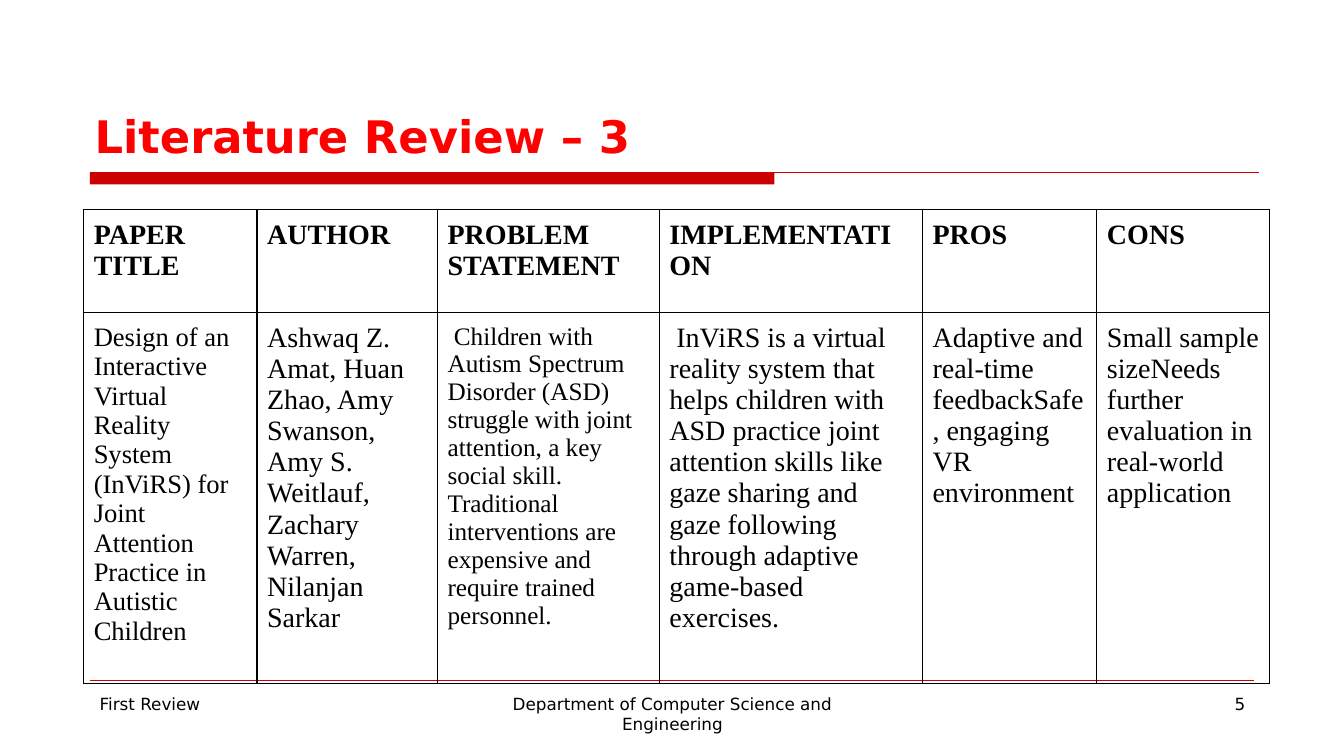
from pptx import Presentation, util as u
from pptx.dml import color
from pptx.enum import shapes, text
from pptx.oxml import parse_xml
from pptx.oxml.ns import nsdecls

HUES = {"ink": "000000", "title": "FF0000", "rule": "CC0000"}
HEADS = ["PAPER\vTITLE", "AUTHOR", "PROBLEM STATEMENT", "IMPLEMENTATION", "PROS", "CONS"]
BODY = [
    "Design of an Interactive Virtual Reality System (InViRS) for Joint Attention "
    "Practice in Autistic Children",
    "Ashwaq Z. Amat, Huan Zhao, Amy Swanson, Amy S. Weitlauf, Zachary Warren, Nilanjan Sarkar",
    " Children with Autism Spectrum Disorder (ASD) struggle with joint attention, a key "
    "social skill. Traditional interventions are expensive and require trained personnel.",
    " InViRS is a virtual reality system that helps children with ASD practice joint "
    "attention skills like gaze sharing and gaze following through adaptive game-based exercises.",
    "Adaptive and real-time feedbackSafe, engaging VR environment",
    "Small sample sizeNeeds further evaluation in real-world application",
]
SIZES = [19, 20, 18, 20, 20, 20]
WIDTHS = [1.72, 1.79, 2.2, 2.61, 1.73, 1.71]
HEIGHTS = [1.02, 3.48]


class Deck:
    """Holds the style and the current slide, and draws each kind of element."""

    def __init__(self):
        self.prs = Presentation()
        self.prs.slide_width, self.prs.slide_height = u.Inches(13.33), u.Inches(7.5)
        self.slide = self.prs.slides.add_slide(self.prs.slide_layouts[6])
        self.sans, self.serif = "DejaVu Sans", "Times New Roman"

    def hue(self, name):
        return color.RGBColor.from_string(HUES[name])

    def words(self, frame, copy, hue="ink", align=text.PP_ALIGN.LEFT, **style):
        para = frame.paragraphs[0]
        para.text, para.alignment = copy, align
        for run in para.runs:
            run.font.color.rgb = self.hue(hue)
            for key, value in style.items():
                setattr(run.font, key, value)

    def label(self, box, copy, anchor=text.MSO_ANCHOR.TOP, **style):
        frame = self.slide.shapes.add_textbox(*map(u.Inches, box)).text_frame
        frame.word_wrap, frame.vertical_anchor = True, anchor
        self.words(frame, copy, name=self.sans, **style)

    def bar(self, box):
        shape = self.slide.shapes.add_shape(shapes.MSO_SHAPE.RECTANGLE, *map(u.Inches, box))
        shape.shadow.inherit = False
        shape.fill.solid()
        shape.fill.fore_color.rgb = self.hue("rule")
        shape.line.fill.background()

    def rule(self, left, right, top, width):
        line = self.slide.shapes.add_connector(
            shapes.MSO_CONNECTOR.STRAIGHT, *map(u.Inches, (left, top, right, top)))
        line.line.color.rgb = self.hue("rule")
        line.line.width = u.Pt(width)
        line._element.spPr.append(parse_xml(f"<a:effectLst {nsdecls('a')}/>"))

    def edge(self, cell):
        props = cell._tc.get_or_add_tcPr()
        for spot, side in enumerate(("lnL", "lnR", "lnT", "lnB")):
            props.insert(spot, parse_xml(
                f'<a:{side} {nsdecls("a")} w="12700"><a:solidFill>'
                f'<a:srgbClr val="{HUES["ink"]}"/></a:solidFill></a:{side}>'))

    def table(self, left, top, rows):
        box = map(u.Inches, (left, top, sum(WIDTHS), sum(HEIGHTS)))
        grid = self.slide.shapes.add_table(len(rows), len(WIDTHS), *box).table
        grid.first_row = grid.horz_banding = False
        for col, width in zip(grid.columns, WIDTHS):
            col.width = u.Inches(width)
        for y, (row, height) in enumerate(zip(rows, HEIGHTS)):
            grid.rows[y].height = u.Inches(height)
            for x, (copy, size, bold) in enumerate(row):
                cell = grid.cell(y, x)
                for side in ("left", "right", "top", "bottom"):
                    setattr(cell, f"margin_{side}", u.Inches(0.1))
                cell.fill.background()
                self.edge(cell)
                self.words(cell.text_frame, copy, name=self.serif, size=u.Pt(size), bold=bold)


def main():
    deck = Deck()
    deck.bar((0.89, 1.71, 6.79, 0.12))
    deck.rule(0.89, 12.49, 1.71, 0.75)
    deck.rule(0.89, 12.44, 6.75, 0.25)
    deck.label((0.84, 0.33, 11.67, 1.33), "Literature Review – 3", text.MSO_ANCHOR.BOTTOM,
               hue="title", size=u.Pt(32), bold=True)
    align = text.PP_ALIGN
    for left, width, copy, side in (
            (0.89, 2.89, "First Review", align.LEFT),
            (4.56, 4.22, "Department of Computer Science and Engineering", align.CENTER),
            (9.56, 2.89, "5", align.RIGHT)):
        deck.label((left, 6.83, width, 0.52), copy, align=side, size=u.Pt(12))
    deck.table(0.83, 2.08, [
        [(copy, 20, True) for copy in HEADS],
        [(copy, size, False) for copy, size in zip(BODY, SIZES)]])
    deck.prs.save("out.pptx")


if __name__ == "__main__":
    main()
